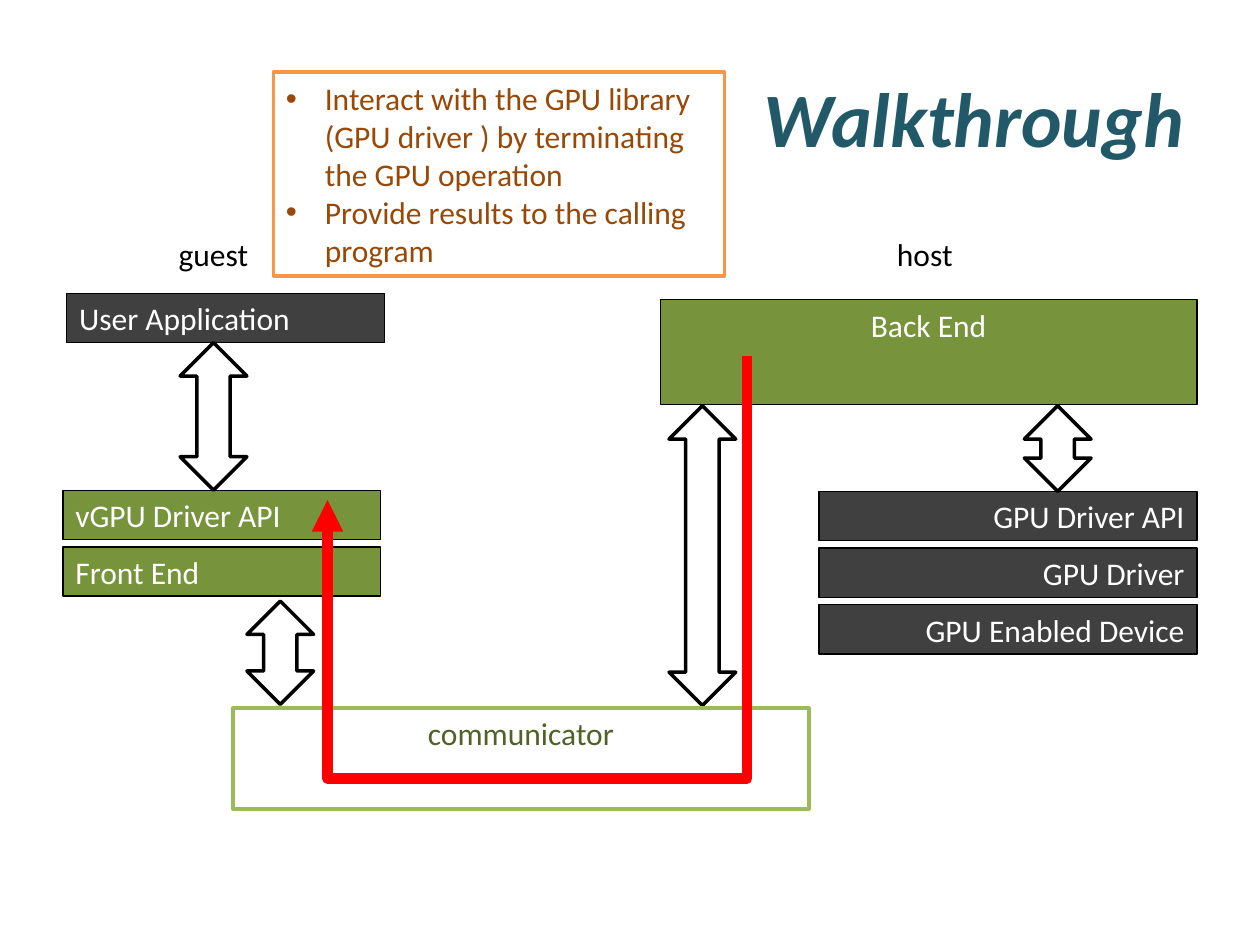
import dataclasses
import pptx
import pptx.util
import pptx.dml.color
import pptx.enum.shapes
import pptx.enum.text
import pptx.oxml.ns
import lxml.etree

PX = 9144  # 100 px to the inch
Kind = pptx.enum.shapes.MSO_SHAPE
Link = pptx.enum.shapes.MSO_CONNECTOR
Align = pptx.enum.text.PP_ALIGN
Anchor = pptx.enum.text.MSO_ANCHOR
Fit = pptx.enum.text.MSO_AUTO_SIZE


@dataclasses.dataclass(frozen=True)
class Theme:
    font: str = "Calibri"
    head: int = 44
    body: int = 18
    thin: float = 0.75
    line: int = 2
    bold: int = 6
    teal: str = "215968"
    dark: str = "404040"
    green: str = "77933C"
    lime: str = "9BBB59"
    moss: str = "4F6228"
    gold: str = "F79646"
    brown: str = "984807"
    red: str = "FF0000"
    black: str = "000000"
    white: str = "FFFFFF"


T = Theme()


def emu(*sizes):
    return [pptx.util.Emu(round(size * PX)) for size in sizes]


def rgb(code):
    return pptx.dml.color.RGBColor.from_string(code)


def tag(parent, kind, **attrs):
    return lxml.etree.SubElement(parent, pptx.oxml.ns.qn(kind), attrs)


def write(para, text, color, size=T.body):
    run = para.add_run()
    run.text = text
    run.font.name = T.font
    run.font.size = pptx.util.Pt(size)
    run.font.color.rgb = rgb(color)
    return run


def shape(shapes, kind, box, fill, edge, width):
    part = shapes.add_shape(kind, *emu(*box))
    part.shadow.inherit = False
    part.fill.solid()
    part.fill.fore_color.rgb = rgb(fill)
    part.line.color.rgb = rgb(edge)
    part.line.width = pptx.util.Pt(width)
    return part


def block(shapes, box, text, fill, align=Align.LEFT, anchor=Anchor.MIDDLE,
          edge=T.black, width=T.thin, color=T.white):
    part = shape(shapes, Kind.RECTANGLE, box, fill, edge, width)
    frame = part.text_frame
    frame.word_wrap = False
    frame.vertical_anchor = anchor
    para = frame.paragraphs[0]
    para.alignment = align
    write(para, text, color)


def stack(slide, box, rows, fill, align, step=45):
    """Group equal bars, one below the other."""
    left, top, width, height = box
    group = slide.shapes.add_group_shape()
    for i, text in enumerate(rows):
        block(group.shapes, (left, top + i * step, width, height),
              text, fill, align)


def arrow(slide, left, top, height):
    shape(slide.shapes, Kind.UP_DOWN_ARROW, (left, top, 53, height),
          T.white, T.black, T.line)


def label(slide, box, text):
    frame = slide.shapes.add_textbox(*emu(*box)).text_frame
    frame.word_wrap = False
    frame.auto_size = Fit.SHAPE_TO_FIT_TEXT
    write(frame.paragraphs[0], text, T.black)


def title(slide, box, text):
    part = slide.shapes.title
    part.left, part.top, part.width, part.height = emu(*box)
    part.text_frame.vertical_anchor = Anchor.MIDDLE
    para = part.text_frame.paragraphs[0]
    para.alignment = Align.RIGHT
    run = write(para, text, T.teal, T.head)
    run.font.bold = run.font.italic = True


def guest(slide, left, top):
    block(slide.shapes, (left + 3, top, 252, 39), "User Application", T.dark)
    stack(slide, (left, top + 156, 252, 39),
          ["vGPU Driver API", "Front End"], T.green, Align.LEFT)
    arrow(slide, left + 93, top + 39, 117)
    arrow(slide, left + 146, top + 244, 82)
    label(slide, (left + 82, top - 51, 76, 40), "guest")


def host(slide, left, top):
    block(slide.shapes, (left, top, 426, 83), "Back End", T.green,
          Align.CENTER, Anchor.TOP)
    stack(slide, (left + 126, top + 152, 300, 39),
          ["GPU Driver API", "GPU Driver", "GPU Enabled Device"],
          T.dark, Align.RIGHT)
    arrow(slide, left + 7, top + 84, 238)
    arrow(slide, left + 289, top + 84, 68)
    label(slide, (left + 178, top - 56, 65, 40), "host")


def notes(slide, box, items):
    part = shape(slide.shapes, Kind.RECTANGLE, box, T.white, T.gold, T.line)
    frame = part.text_frame
    frame.word_wrap = True
    frame.auto_size = Fit.SHAPE_TO_FIT_TEXT
    dent = emu(31)[0]
    for i, text in enumerate(items):
        para = frame.add_paragraph() if i else frame.paragraphs[0]
        para.alignment = Align.LEFT
        props = para._p.get_or_add_pPr()
        props.set("marL", str(dent))
        props.set("indent", str(-dent))
        tag(props, "a:buFont", typeface="Arial")
        tag(props, "a:buChar", char="•")
        write(para, text, T.brown)


def route(slide, box, depth):
    """Draw the return path: down, across and up to the arrowhead."""
    left, top, width, height = box
    # The elbow is laid out upright, then turned a quarter about its centre
    x = left + (width - height) / 2
    y = top + (height - width) / 2
    path = slide.shapes.add_connector(
        Link.ELBOW, *emu(x + height, y + width, x, y))
    path.line.color.rgb = rgb(T.red)
    path.line.width = pptx.util.Pt(T.bold)
    props = path._element.spPr
    props.find(pptx.oxml.ns.qn("a:xfrm")).set("rot", "5400000")
    geom = props.find(pptx.oxml.ns.qn("a:prstGeom"))
    guide = geom.find(pptx.oxml.ns.qn("a:avLst"))
    if guide is None:
        guide = tag(geom, "a:avLst")
    ratio = round(-100000 * depth / height)
    tag(guide, "a:gd", name="adj1", fmla=f"val {ratio}")
    line = path.line._get_or_add_ln()
    tag(line, "a:round")
    tag(line, "a:headEnd", type="triangle")
    tag(props, "a:effectLst")


def main():
    deck = pptx.Presentation()
    deck.slide_width, deck.slide_height = emu(1000, 750)
    slide = deck.slides.add_slide(deck.slide_layouts[5])
    title(slide, (50, 30, 900, 125), "Walkthrough")
    guest(slide, 50, 233)
    host(slide, 524, 238)
    # Channel between guest and host
    block(slide.shapes, (185, 562, 457, 80), "communicator", T.white,
          Align.CENTER, Anchor.TOP, T.lime, T.line, T.moss)
    notes(slide, (217, 57, 358, 162), [
        "Interact with the GPU library (GPU driver ) "
        "by terminating the GPU operation",
        "Provide results to the calling program"])
    route(slide, (260, 283, 333, 114), 221)
    deck.save("out.pptx")


if __name__ == "__main__":
    main()
